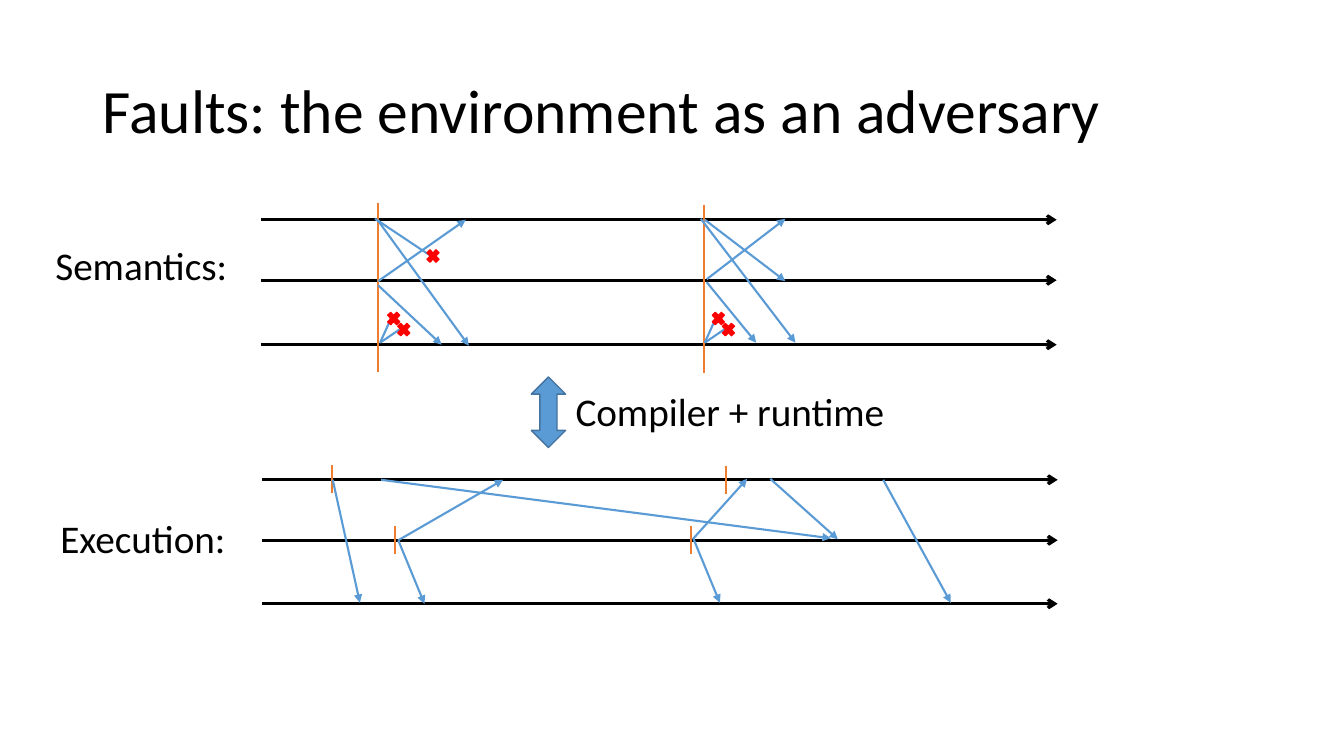
from pptx import Presentation
from pptx.dml.color import RGBColor
from pptx.enum.shapes import MSO_CONNECTOR, MSO_SHAPE
from pptx.enum.text import MSO_ANCHOR
from pptx.oxml.ns import qn
from pptx.util import Inches, Pt
from lxml import etree

BLACK = RGBColor(0x00, 0x00, 0x00)
BLUE = RGBColor(0x5B, 0x9B, 0xD5)
NAVY = RGBColor(0x43, 0x73, 0x9E)
ORANGE = RGBColor(0xED, 0x7D, 0x31)
RED = RGBColor(0xFF, 0x00, 0x00)
STRAIGHT = MSO_CONNECTOR.STRAIGHT
CROSS = MSO_SHAPE.MATH_MULTIPLY
UPDOWN = MSO_SHAPE.UP_DOWN_ARROW
TOP, MIDDLE = MSO_ANCHOR.TOP, MSO_ANCHOR.MIDDLE

prs = Presentation()
prs.slide_width, prs.slide_height = Inches(13.33), Inches(7.5)
slide = prs.slides.add_slide(prs.slide_layouts[6])
shapes = slide.shapes


def write(text, x, y, w, h, size=28, anchor=TOP, wrap=False, spacing=1.0):
    frame = shapes.add_textbox(Inches(x), Inches(y), Inches(w), Inches(h)).text_frame
    frame.word_wrap = wrap
    frame.vertical_anchor = anchor
    par = frame.paragraphs[0]
    par.line_spacing = spacing
    run = par.add_run()
    run.text = text
    run.font.name = "Calibri"
    run.font.size = Pt(size)
    run.font.color.rgb = BLACK


def draw(x1, y1, x2, y2, color=BLUE, width=1.5, head=None):
    link = shapes.add_connector(STRAIGHT, Inches(x1), Inches(y1), Inches(x2), Inches(y2))
    link.line.color.rgb = color
    link.line.width = Pt(width)
    if head:
        etree.SubElement(link.line._ln, qn("a:tailEnd"), type=head)
    etree.SubElement(link._element.spPr, qn("a:effectLst"))


# Title and labels
write("Faults: the environment as an adversary", 0.92, 0.4, 11.5, 1.45,
      size=44, anchor=MIDDLE, wrap=True, spacing=0.9)
write("Semantics:", 0.45, 2.34, 1.93, 0.57)
write("Execution:", 0.5, 5.05, 1.86, 0.57)
write("Compiler + runtime", 5.61, 3.79, 3.3, 0.57)

# Process timelines
for left, rows in ((2.59, (2.18, 2.78, 3.42)), (2.6, (4.76, 5.36, 5.99))):
    for y in rows:
        draw(left, y, left + 7.89, y, color=BLACK, width=2.25, head="arrow")

# Round marks: long in the semantics, short in the execution
for x, y, size in ((3.75, 2.01, 1.68), (6.98, 2.03, 1.67), (3.29, 4.61, 0.28),
                   (3.92, 5.22, 0.28), (7.2, 4.62, 0.28), (6.85, 5.22, 0.28)):
    draw(x, y, x, y + size, color=ORANGE)

# Delivered messages
messages = [
    # Semantics, first round
    (3.75, 2.19, 4.65, 3.43), (3.75, 2.79, 4.62, 2.18), (3.75, 2.83, 4.38, 3.42),
    # Semantics, second round
    (6.95, 2.17, 7.89, 3.4), (7.01, 2.77, 7.79, 2.17), (7.01, 2.8, 7.5, 3.4),
    (6.99, 2.18, 7.79, 2.79),
    # Execution, first round
    (3.3, 4.76, 3.57, 5.98), (3.78, 4.76, 8.24, 5.34), (3.95, 5.36, 4.21, 5.99),
    (3.95, 5.36, 4.99, 4.76),
    # Execution, second round
    (6.88, 5.35, 7.14, 5.98), (6.87, 5.35, 7.41, 4.75), (7.64, 4.75, 8.31, 5.35),
    (8.76, 4.76, 9.43, 5.98),
]
for ends in messages:
    draw(*ends, head="triangle")

# Lost messages, each ending in a cross
lost = [(3.72, 2.17, 4.29, 2.55)]
crosses = [(4.21, 2.45)]
for x in (3.77, 6.99):
    lost += [(x, 3.4, x + 0.09, 3.2), (x, 3.4, x + 0.22, 3.25)]
    crosses += [(x + 0.15, 3.18), (x + 0.05, 3.07)]
for ends in lost:
    draw(*ends)

# Crosses and the double arrow
marks = [(CROSS, x, y, 0.17, 0.18, RED, RED) for x, y in crosses]
marks.append((UPDOWN, 5.27, 3.74, 0.34, 0.7, BLUE, NAVY))
for kind, x, y, w, h, fill, edge in marks:
    mark = shapes.add_shape(kind, Inches(x), Inches(y), Inches(w), Inches(h))
    mark.shadow.inherit = False
    mark.fill.solid()
    mark.fill.fore_color.rgb = fill
    mark.line.color.rgb = edge
    mark.line.width = Pt(1)

prs.save("out.pptx")
